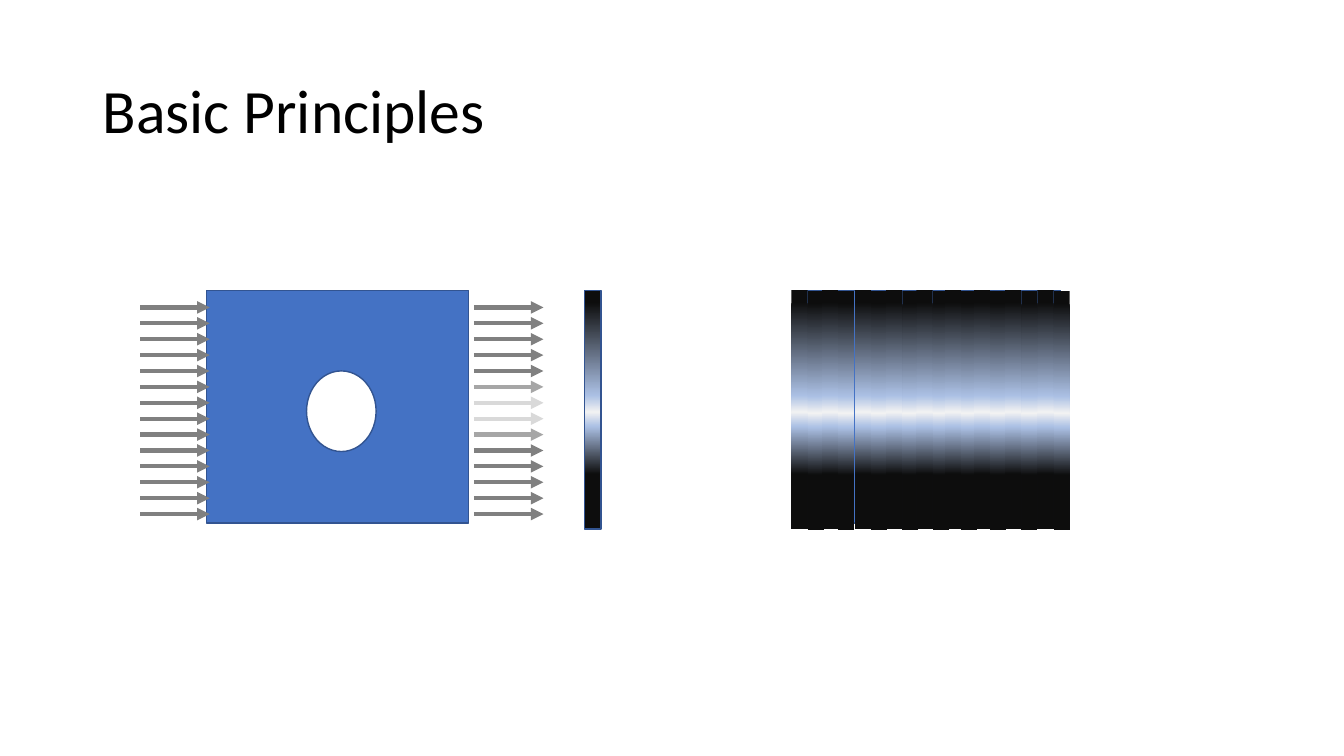
from lxml import etree
from pptx import Presentation
from pptx.dml.color import RGBColor
from pptx.enum.shapes import MSO_CONNECTOR as Connector, MSO_SHAPE as Shape
from pptx.enum.text import MSO_ANCHOR as Anchor
from pptx.oxml.ns import qn
from pptx.util import Inches, Pt

# The slide is a grid of one-inch columns and rows
COL = ROW = Inches(1)
COLUMNS, ROWS = 13.33, 7.5

BLACK = RGBColor(0x00, 0x00, 0x00)
WHITE = RGBColor(0xFF, 0xFF, 0xFF)
BLUE = RGBColor(0x44, 0x72, 0xC4)
OUTLINE = RGBColor(0x32, 0x54, 0x91)
GRAY = RGBColor(0x80, 0x80, 0x80)
MID_GRAY = RGBColor(0xA6, 0xA6, 0xA6)
PALE_GRAY = RGBColor(0xD9, 0xD9, 0xD9)
DARK = RGBColor(0x0D, 0x0D, 0x0D)
LIGHT_BLUE = RGBColor(0xAB, 0xC0, 0xE4)
BRIGHT = RGBColor(0xF2, 0xF2, 0xF2)

# Brightness along the detector: position in percent, colour
INTENSITY = [(5, DARK), (44, LIGHT_BLUE), (51, BRIGHT), (57, LIGHT_BLUE), (77, DARK)]

TOP = 2.88
BODY_WIDTH, BODY_HEIGHT = 2.6, 2.31
STRIP_WIDTH, STRIP_HEIGHT = 0.16, 2.37
RAY_COUNT, FIRST_RAY, LAST_RAY, RAY_LENGTH = 14, 3.05, 5.1, 0.69
PASSED_RAYS = {5: MID_GRAY, 6: PALE_GRAY, 7: PALE_GRAY, 8: MID_GRAY}
STRIP_PAIRS = [7.85, 8.15, 8.48, 8.79, 9.09, 9.37, 9.66, 9.97, 10.29]


def add_text(slide, text, left, top, width, height, size=18, color=BLACK,
             font="Calibri", anchor=Anchor.MIDDLE, spacing=1.0):
    box = slide.shapes.add_textbox(left * COL, top * ROW, width * COL, height * ROW)
    frame = box.text_frame
    frame.word_wrap = True
    frame.vertical_anchor = anchor
    paragraph = frame.paragraphs[0]
    paragraph.line_spacing = spacing
    run = paragraph.add_run()
    run.text = text
    run.font.size, run.font.name = Pt(size), font
    run.font.color.rgb = color


def add_body(group, kind, left, top, width, height, fill=None, outlined=True):
    body = group.shapes.add_shape(kind, int(left * COL), int(top * ROW),
                                  int(width * COL), int(height * ROW))
    body.shadow.inherit = False
    if fill is not None:
        body.fill.solid()
        body.fill.fore_color.rgb = fill
    if outlined:
        body.line.color.rgb = OUTLINE
        body.line.width = Pt(1)
    else:
        body.line.fill.background()
    return body


def add_strip(group, left, top=TOP, outlined=False):
    """Detector strip shaded by the intensity it receives."""
    strip = add_body(group, Shape.RECTANGLE, left, top, STRIP_WIDTH, STRIP_HEIGHT,
                     outlined=outlined)
    strip.fill.gradient()
    strip.fill.gradient_angle = 270  # counter-clockwise: runs downwards
    stops = strip.fill._fill._gradFill.find(qn("a:gsLst"))
    for stop in list(stops):
        stops.remove(stop)
    for percent, color in INTENSITY:
        stop = etree.SubElement(stops, qn("a:gs"), pos=str(percent * 1000))
        etree.SubElement(stop, qn("a:srgbClr"), val=str(color))


def add_rays(group, left, special_colors):
    """Column of parallel arrows, with some of them in special colours."""
    pitch = (LAST_RAY - FIRST_RAY) / (RAY_COUNT - 1)
    for index in range(RAY_COUNT):
        height = int((FIRST_RAY + index * pitch) * ROW)
        ray = group.shapes.add_connector(Connector.STRAIGHT, int(left * COL), height,
                                         int((left + RAY_LENGTH) * COL), height)
        ray.line.color.rgb = special_colors.get(index, GRAY)
        ray.line.width = Pt(3)
        etree.SubElement(ray.line._get_or_add_ln(), qn("a:tailEnd"), type="triangle")
        etree.SubElement(ray._element.spPr, qn("a:effectLst"))


def main():
    deck = Presentation()
    deck.slide_width, deck.slide_height = int(COLUMNS * COL), int(ROWS * ROW)
    slide = deck.slides.add_slide(deck.slide_layouts[6])

    add_text(slide, "Basic Principles", 0.92, 0.4, 11.5, 1.45, size=44, spacing=0.9)

    # Rays crossing the object and reaching one detector strip
    projection = slide.shapes.add_group_shape()
    add_body(projection, Shape.RECTANGLE, 2.05, TOP, BODY_WIDTH, BODY_HEIGHT, fill=BLUE)
    add_body(projection, Shape.OVAL, 3.04, 3.68, 0.69, 0.8, fill=WHITE)
    add_rays(projection, 1.39, {})
    add_rays(projection, 4.7, PASSED_RAYS)
    add_strip(projection, 5.8, outlined=True)

    # The strip smeared back across the object
    back_projection = slide.shapes.add_group_shape()
    add_body(back_projection, Shape.RECTANGLE, 7.92, TOP, BODY_WIDTH, BODY_HEIGHT, fill=BLUE)
    for left in STRIP_PAIRS:
        add_strip(back_projection, left + STRIP_WIDTH, TOP + 0.01)
        add_strip(back_projection, left)

    deck.save("out.pptx")


main()
